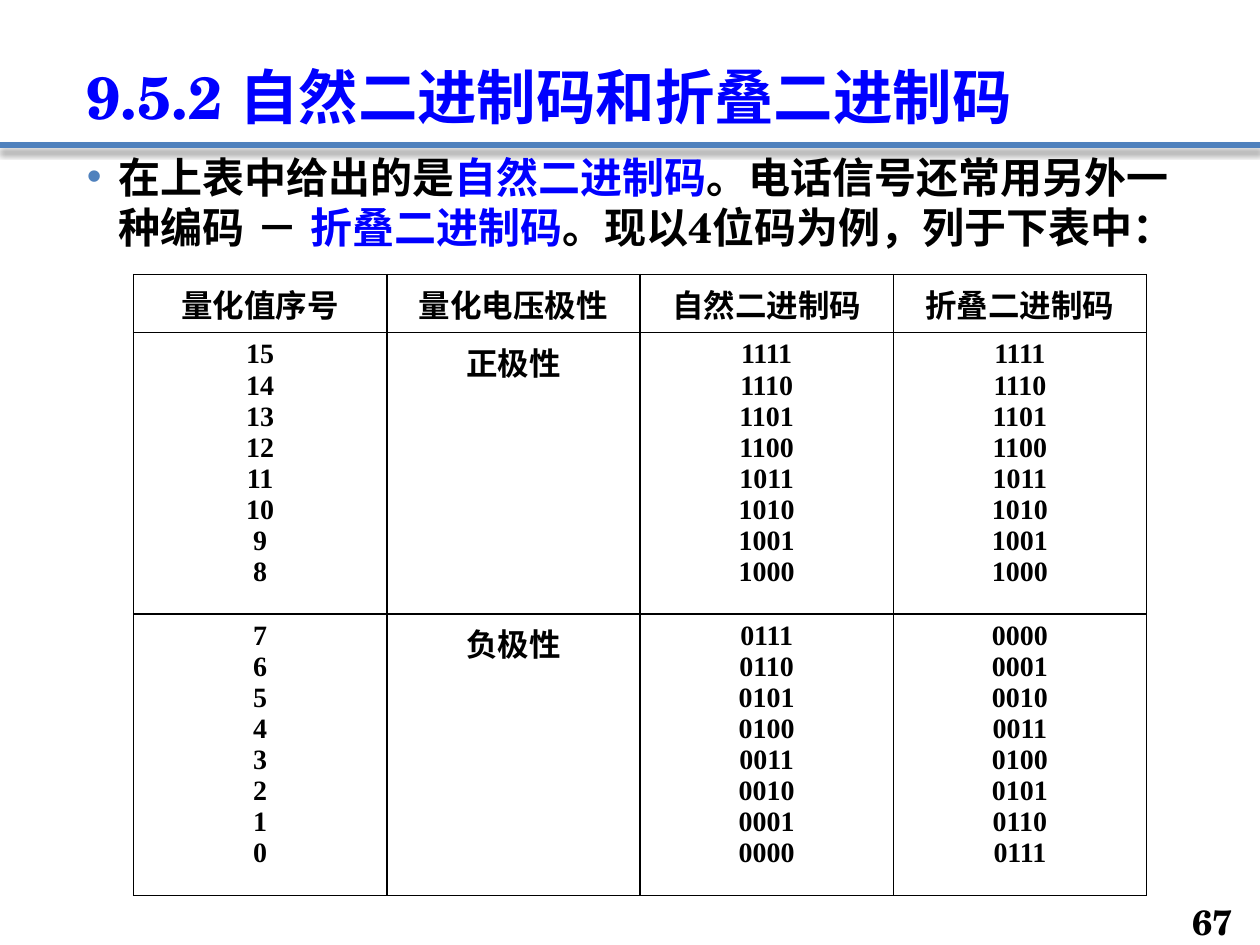
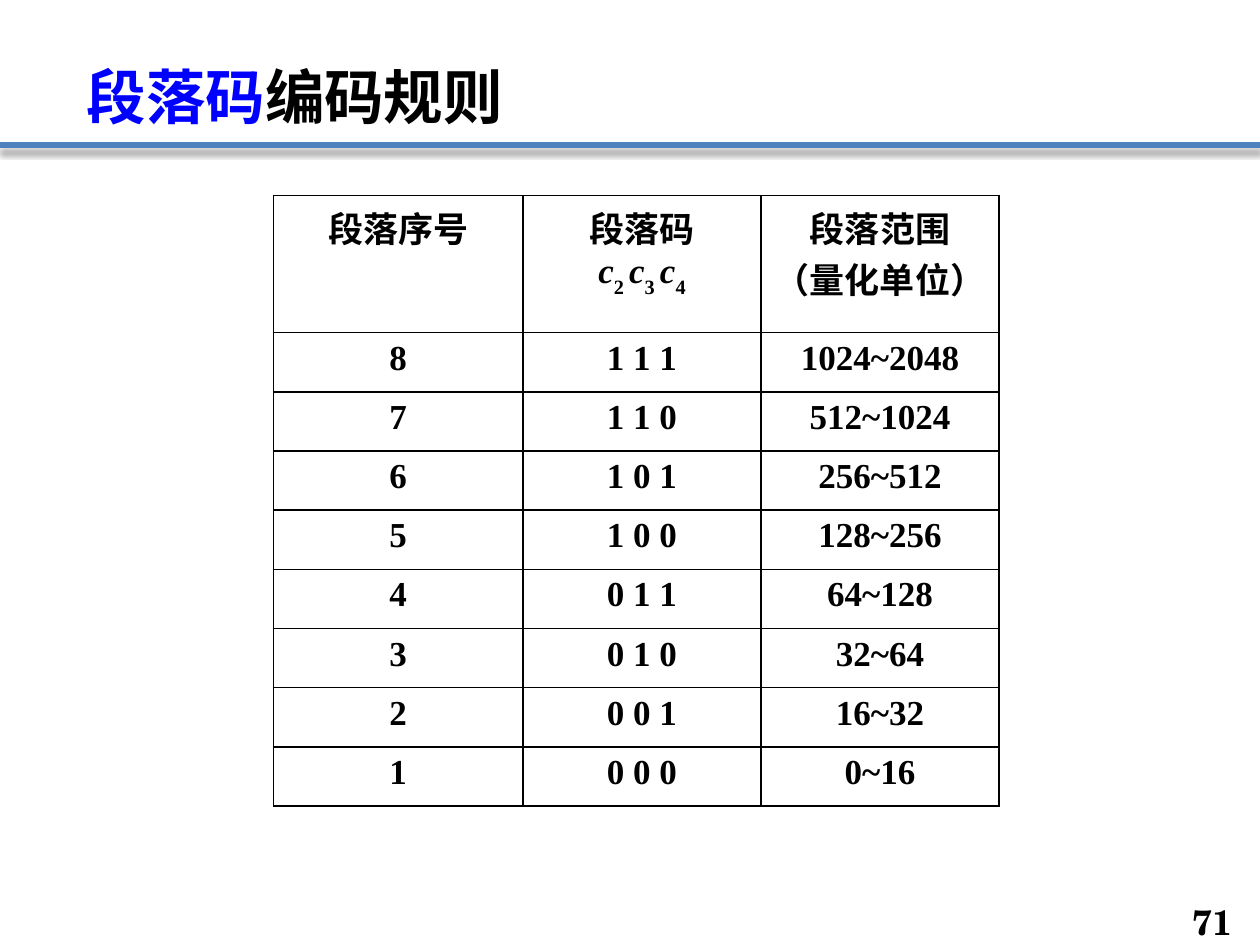
"""Build two slides on natural, folded and segment binary codes."""
from lxml.etree import SubElement
from pptx import Presentation
from pptx.dml.color import RGBColor
from pptx.enum.shapes import MSO_CONNECTOR as Connector
from pptx.enum.text import MSO_ANCHOR as Anchor, PP_ALIGN as Align
from pptx.oxml.ns import qn
from pptx.util import Inches, Pt

BLACK = RGBColor(0x00, 0x00, 0x00)
BLUE = RGBColor(0x00, 0x00, 0xFF)
RULE_BLUE = RGBColor(0x4F, 0x81, 0xBD)
SCHOLA, TIMES = "TeX Gyre Schola", "Times New Roman"

KEY = {"color": BLUE}
VARIABLE = {"italic": True}
SUBSCRIPT = {"baseline": -30}

FOLDED_TITLE = [("9.5.2 自然二进制码和折叠二进制码", KEY)]
FOLDED_INTRO = [
    ("在上表中给出的是", {}),
    ("自然二进制码", KEY),
    ("。电话信号还常用另外一种编码 － ", {}),
    ("折叠二进制码", KEY),
    ("。现以4位码为例，列于下表中：", {}),
]
FOLDED_HEADER = ["量化值序号", "量化电压极性", "自然二进制码", "折叠二进制码"]
POLARITIES = [("正极性", range(15, 7, -1)), ("负极性", range(7, -1, -1))]

SEGMENT_TITLE = [("段落码", KEY), ("编码规则", {})]
SEGMENT_SYMBOLS = [
    ("c", VARIABLE), ("2 ", SUBSCRIPT),
    ("c", VARIABLE), ("3 ", SUBSCRIPT),
    ("c", VARIABLE), ("4", SUBSCRIPT),
]
SEGMENT_HEADER = [["段落序号"], ["段落码", SEGMENT_SYMBOLS], ["段落范围", "（量化单位）"]]
SEGMENT_ROWS = [
    ("8", "1 1 1", "1024~2048"),
    ("7", "1 1 0", "512~1024"),
    ("6", "1 0 1", "256~512"),
    ("5", "1 0 0", "128~256"),
    ("4", "0 1 1", "64~128"),
    ("3", "0 1 0", "32~64"),
    ("2", "0 0 1", "16~32"),
    ("1", "0 0 0", "0~16"),
]


def write(frame, lines, size, font=SCHOLA, align=Align.LEFT, spacing=None):
    """Fill a text frame with lines, each a string or a list of (text, format) spans."""
    frame.word_wrap = True
    for index, line in enumerate(lines):
        para = frame.paragraphs[0] if index == 0 else frame.add_paragraph()
        para.alignment = align
        para.line_spacing = spacing
        for text, style in [(line, {})] if isinstance(line, str) else line:
            span = para.add_run()
            span.text = text
            span.font.size = Pt(size)
            span.font.bold = True
            span.font.italic = style.get("italic", False)
            span.font.name = font
            span.font.color.rgb = style.get("color", BLACK)
            properties = span.font._element
            if font == SCHOLA:
                SubElement(properties, qn("a:ea"), typeface=font)
            if "baseline" in style:
                properties.set("baseline", str(style["baseline"] * 1000))


def add_text(page, area, lines, size, anchor=Anchor.TOP, **style):
    """Add a text box at area and return its frame."""
    frame = page.shapes.add_textbox(*map(Inches, area)).text_frame
    frame.vertical_anchor = anchor
    write(frame, lines, size, **style)
    return frame


def add_rule(page):
    """Draw the shadowed line under the title."""
    rule = page.shapes.add_connector(
        Connector.STRAIGHT, 0, Inches(1.15), Inches(10), Inches(1.15))
    rule.line.color.rgb = RULE_BLUE
    rule.line.width = Pt(3)
    effects = SubElement(rule._element.spPr, qn("a:effectLst"))
    shadow = SubElement(effects, qn("a:outerShdw"), blurRad=str(Pt(4)), dist=str(Pt(3)),
                        dir="5400000", rotWithShape="0")
    tint = SubElement(shadow, qn("a:srgbClr"), val=str(BLACK))
    SubElement(tint, qn("a:alpha"), val="43000")


def add_page(deck, title, number):
    """Add a blank page with the shared rule, title and page number."""
    page = deck.slides.add_slide(deck.slide_layouts[6])
    add_rule(page)
    add_text(page, (0.59, 0.21, 8.82, 0.89), [title], 34, Anchor.BOTTOM, spacing=0.9)
    add_text(page, (9.19, 7.17, 0.69, 0.28), [number], 20, Anchor.MIDDLE, align=Align.RIGHT)
    return page


def add_bullet(para):
    """Give a paragraph a hanging blue bullet."""
    properties = para._p.get_or_add_pPr()
    properties.set("marL", str(Inches(0.25)))
    properties.set("indent", str(-Inches(0.25)))
    color = SubElement(properties, qn("a:buClr"))
    SubElement(color, qn("a:srgbClr"), val=str(RULE_BLUE))
    SubElement(properties, qn("a:buFont"), typeface="Arial")
    SubElement(properties, qn("a:buChar"), char="•")


def frame_cell(cell):
    """Draw thin black borders around an unfilled cell."""
    properties = cell._tc.get_or_add_tcPr()
    for side in ("lnL", "lnR", "lnT", "lnB"):
        border = SubElement(properties, qn(f"a:{side}"), w=str(Pt(1)))
        fill = SubElement(border, qn("a:solidFill"))
        SubElement(fill, qn("a:srgbClr"), val=str(BLACK))
    cell.fill.background()


def add_grid(page, left, top, widths, heights, rows):
    """Add a bordered table whose rows hold (lines, size) cells."""
    table = page.shapes.add_table(
        len(heights), len(widths), Inches(left), Inches(top),
        Inches(sum(widths)), Inches(sum(heights))).table
    table.first_row = table.horz_banding = False
    for column, width in zip(table.columns, widths):
        column.width = Inches(width)
    for row, height, contents in zip(table.rows, heights, rows):
        row.height = Inches(height)
        for cell, (lines, size) in zip(row.cells, contents):
            write(cell.text_frame, lines, size, font=TIMES, align=Align.CENTER)
            frame_cell(cell)


def folded_row(polarity, levels):
    """Return the cells for one polarity; negative levels mirror the positive ones."""
    natural = [f"{level:04b}" for level in levels]
    folded = [f"{level if level > 7 else 7 - level:04b}" for level in levels]
    return [([str(level) for level in levels], 16), ([polarity], 18), (natural, 16), (folded, 16)]


def build_folded_page(deck):
    """Compare natural and folded binary codes."""
    page = add_page(deck, FOLDED_TITLE, "67")
    intro = add_text(page, (0.59, 1.15, 8.82, 5.51), [FOLDED_INTRO], 24)
    add_bullet(intro.paragraphs[0])
    rows = [[([label], 18) for label in FOLDED_HEADER]]
    rows += [folded_row(*polarity) for polarity in POLARITIES]
    add_grid(page, 1.06, 2.18, [2.01] * 4, [0.46, 2.09, 2.09], rows)


def build_segment_page(deck):
    """List the segment codes and their ranges."""
    page = add_page(deck, SEGMENT_TITLE, "71")
    rows = [[(lines, 20) for lines in SEGMENT_HEADER]]
    rows += [[([value], 20) for value in row] for row in SEGMENT_ROWS]
    add_grid(page, 2.17, 1.55, [1.98, 1.89, 1.89], [1.09] + [0.47] * len(SEGMENT_ROWS), rows)


def main():
    """Build and save the deck."""
    deck = Presentation()
    deck.slide_width, deck.slide_height = Inches(10), Inches(7.5)
    build_folded_page(deck)
    build_segment_page(deck)
    deck.save("out.pptx")


if __name__ == "__main__":
    main()
